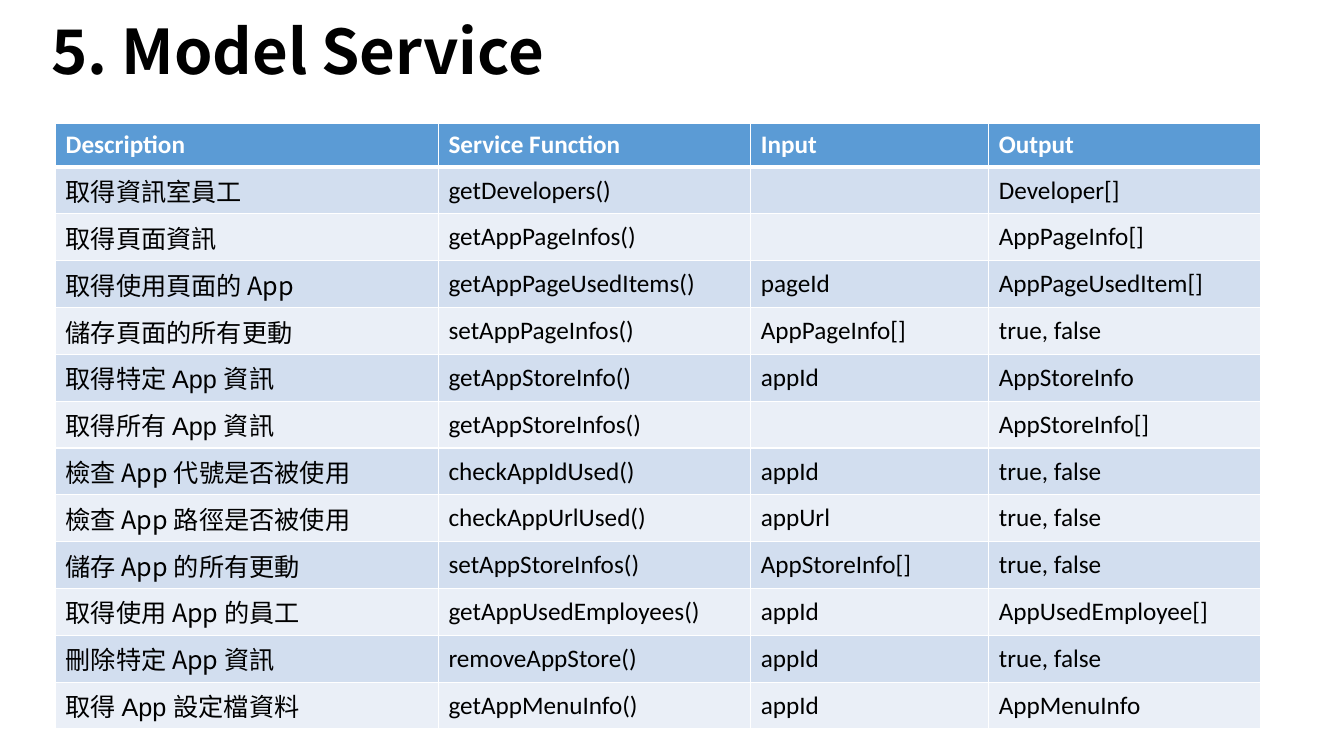
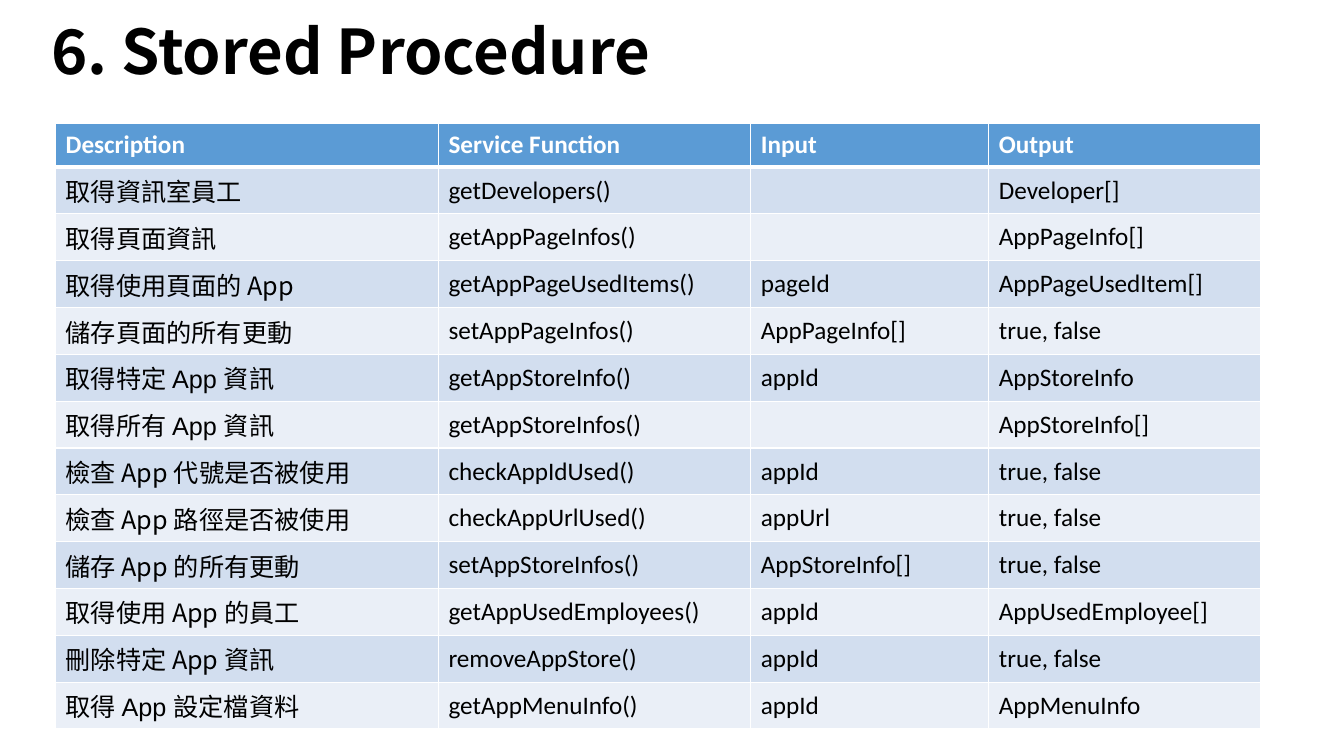
from dataclasses import dataclass

from lxml import etree
from pptx import Presentation
from pptx.dml.color import RGBColor
from pptx.enum import text
from pptx.oxml import ns
from pptx.util import Cm, Pt


@dataclass(frozen=True)
class Theme:
    black: str = "000000"
    white: str = "FFFFFF"
    header: str = "5B9BD5"
    bands: tuple = ("D2DEEF", "EAEFF7")
    cjk: str = "Noto Sans CJK SC"
    latin: str = "Calibri"
    plain: str = "Arial"
    title_size: int = 44
    cell_size: int = 18
    border: int = 1
    header_rule: int = 3


T = Theme()
TITLES = ["5. Model Service", "6. Stored Procedure"]
COL_WIDTHS = [9.65, 7.87, 6, 6.86]
HEADER_HEIGHT, ROW_HEIGHT = 1.11, 1.18
HEADER = ["Description", "Service Function", "Input", "Output"]
SERVICES = [
    (T.plain, "取得資訊室員工", "getDevelopers()", "", "Developer[]"),
    (T.cjk, "取得頁面資訊", "getAppPageInfos()", "", "AppPageInfo[]"),
    (T.cjk, "取得使用頁面的 App", "getAppPageUsedItems()", "pageId", "AppPageUsedItem[]"),
    (T.cjk, "儲存頁面的所有更動", "setAppPageInfos()", "AppPageInfo[]", "true, false"),
    (T.plain, "取得特定 App 資訊", "getAppStoreInfo()", "appId", "AppStoreInfo"),
    (T.plain, "取得所有 App 資訊", "getAppStoreInfos()", "", "AppStoreInfo[]"),
    (T.cjk, "檢查 App 代號是否被使用", "checkAppIdUsed()", "appId", "true, false"),
    (T.cjk, "檢查 App 路徑是否被使用", "checkAppUrlUsed()", "appUrl", "true, false"),
    (T.cjk, "儲存 App 的所有更動", "setAppStoreInfos()", "AppStoreInfo[]", "true, false"),
    (T.cjk, "取得使用 App 的員工", "getAppUsedEmployees()", "appId", "AppUsedEmployee[]"),
    (T.cjk, "刪除特定 App 資訊", "removeAppStore()", "appId", "true, false"),
    (T.plain, "取得 App 設定檔資料", "getAppMenuInfo()", "appId", "AppMenuInfo"),
]


def write(p, words, font, size, color, bold=False):
    p.text = words
    p.font.name = font
    p.font.size = Pt(size)
    p.font.bold = bold
    p.font.color.rgb = RGBColor.from_string(color)
    props = p._p.get_or_add_pPr().get_or_add_defRPr()
    etree.SubElement(props, ns.qn("a:ea"), typeface=T.cjk)


def add_title(s, words):
    sp = s.shapes.add_textbox(Cm(1.04), Cm(-0.25), Cm(23.62), Cm(3.25))
    tf = sp.text_frame
    tf.word_wrap = True
    tf.vertical_anchor = text.MSO_ANCHOR.MIDDLE
    p = tf.paragraphs[0]
    write(p, words, T.cjk, T.title_size, T.black, True)
    p.line_spacing = 0.9


def set_borders(cell, top, bottom):
    props = cell._tc.get_or_add_tcPr()
    for side, width in zip("LRTB", (T.border, T.border, top, bottom)):
        ln = etree.SubElement(props, ns.qn(f"a:ln{side}"), w=str(Pt(width)))
        fill = etree.SubElement(ln, ns.qn("a:solidFill"))
        etree.SubElement(fill, ns.qn("a:srgbClr"), val=T.white)


def fill_cell(cell, words, font, row):
    is_header = row == 0
    set_borders(cell, T.header_rule if row == 1 else T.border,
                T.header_rule if is_header else T.border)
    cell.fill.solid()
    cell.fill.fore_color.rgb = RGBColor.from_string(
        T.header if is_header else T.bands[(row - 1) % 2])
    cell.vertical_anchor = text.MSO_ANCHOR.MIDDLE
    write(cell.text_frame.paragraphs[0], words, font, T.cell_size,
          T.white if is_header else T.black, is_header)


def add_service_table(s):
    rows = [(T.latin, *HEADER), *SERVICES]
    height = HEADER_HEIGHT + ROW_HEIGHT * len(SERVICES)
    table = s.shapes.add_table(len(rows), len(HEADER), Cm(1.4), Cm(3.1),
                               Cm(sum(COL_WIDTHS)), Cm(height)).table
    table.first_row = table.horz_banding = False
    for col, width in zip(table.columns, COL_WIDTHS):
        col.width = Cm(width)
    for i, (font, *cells) in enumerate(rows):
        table.rows[i].height = Cm(ROW_HEIGHT if i else HEADER_HEIGHT)
        for j, words in enumerate(cells):
            fill_cell(table.cell(i, j), words, T.latin if j else font, i)


def main():
    prs = Presentation()
    prs.slide_width, prs.slide_height = Cm(33.87), Cm(19.05)
    for title in TITLES:
        s = prs.slides.add_slide(prs.slide_layouts[6])
        add_title(s, title)
        add_service_table(s)
    prs.save("out.pptx")


if __name__ == "__main__":
    main()
